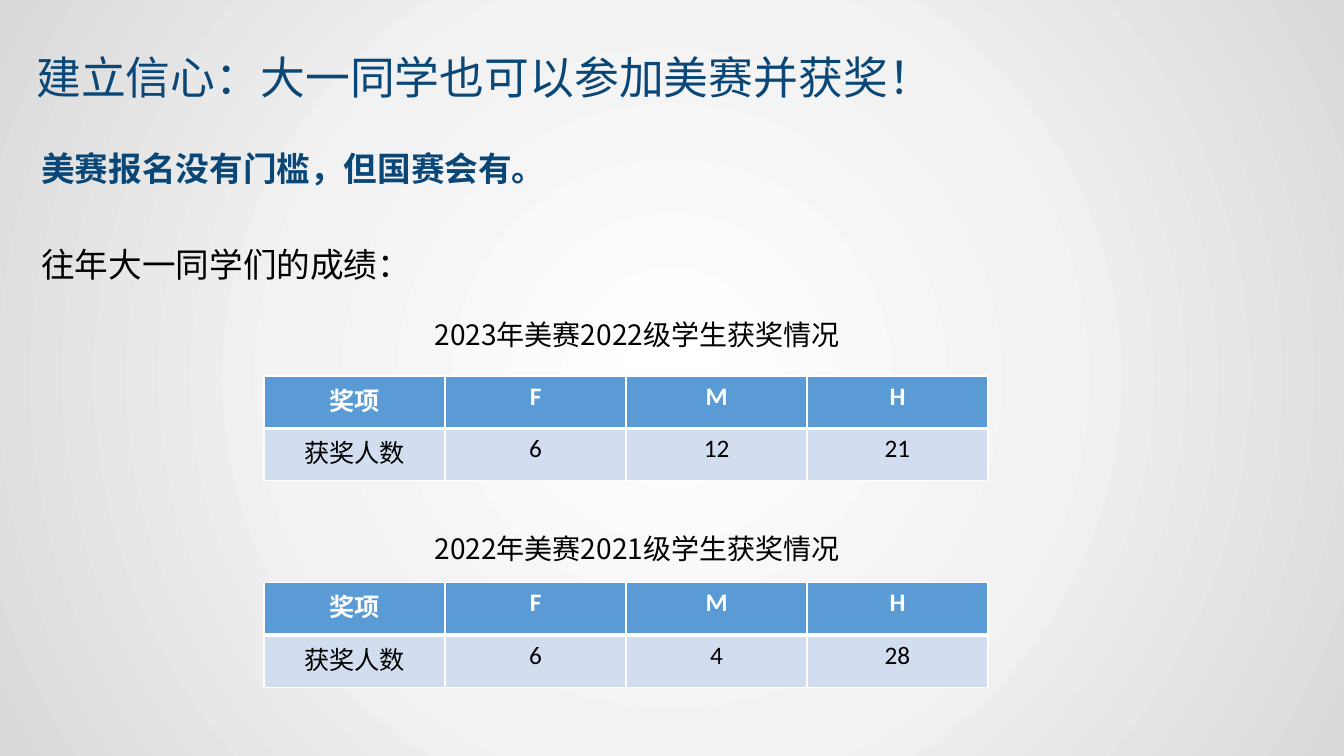
import dataclasses

import pptx
import pptx.dml.color
import pptx.enum.shapes
import pptx.enum.text
import pptx.oxml
import pptx.oxml.ns
import pptx.util

RGBColor = pptx.dml.color.RGBColor
NAVY = RGBColor(0x0A, 0x47, 0x76)
BLACK = RGBColor(0x00, 0x00, 0x00)
WHITE = RGBColor(0xFF, 0xFF, 0xFF)
HEADER_BLUE = RGBColor(0x5B, 0x9B, 0xD5)
ROW_BLUE = RGBColor(0xD2, 0xDE, 0xEF)
MIST = RGBColor(0xF2, 0xF2, 0xF2)
SILVER = RGBColor(0xD9, 0xD9, 0xD9)

HAN_FONT = "Noto Sans CJK SC"
TABLE_FONT = "Calibri"
SLIDE_WIDTH = pptx.util.Inches(13.33)
SLIDE_HEIGHT = pptx.util.Inches(7.5)
DRAWING_NS = pptx.oxml.ns.nsdecls("a")


@dataclasses.dataclass(frozen=True)
class Area:
    """Position and size in percent of the slide."""

    left: float
    top: float
    width: float
    height: float

    def lengths(self) -> tuple[int, int, int, int]:
        return (
            round(SLIDE_WIDTH * self.left / 100),
            round(SLIDE_HEIGHT * self.top / 100),
            round(SLIDE_WIDTH * self.width / 100),
            round(SLIDE_HEIGHT * self.height / 100),
        )


@dataclasses.dataclass(frozen=True)
class Passage:
    placeholder: int
    text: str
    area: Area
    size: int
    color: RGBColor = BLACK
    bold: bool = False
    spacing: float = 0.9
    inset_x: float = 0
    inset_y: float = 0


@dataclasses.dataclass(frozen=True)
class AwardTable:
    top: float
    counts: tuple[str, ...]


AWARDS = ("奖项", "F", "M", "H")
PASSAGES = (
    Passage(0, "建立信心：大一同学也可以参加美赛并获奖！", Area(1.95, 3.73, 71.57, 9.73),
            32, NAVY, spacing=1.3, inset_x=0.1, inset_y=0.05),
    Passage(1, "美赛报名没有门槛，但国赛会有。", Area(3.08, 20.13, 47.79, 5.33), 24, NAVY, bold=True),
    Passage(2, "往年大一同学们的成绩：", Area(3.08, 32.8, 47.79, 7.2), 24),
    Passage(3, "2023年美赛2022级学生获奖情况", Area(32.33, 42.53, 32.26, 7.2), 20),
    Passage(4, "2022年美赛2021级学生获奖情况", Area(32.33, 70.8, 32.26, 7.2), 20),
)
AWARD_TABLES = (
    AwardTable(49.73, ("获奖人数", "6", "12", "21")),
    AwardTable(77.07, ("获奖人数", "6", "4", "28")),
)


def write_text(frame, text: str, *, size: int, color: RGBColor, bold: bool = False,
               font: str = HAN_FONT, spacing: float = 1.0,
               align=pptx.enum.text.PP_ALIGN.LEFT) -> None:
    paragraph = frame.paragraphs[0]
    properties = paragraph._p.get_or_add_pPr()
    properties.set("marL", "0")
    properties.set("indent", "0")
    properties.append(pptx.oxml.parse_xml(f"<a:buNone {DRAWING_NS}/>"))
    paragraph.alignment = align
    paragraph.line_spacing = spacing
    paragraph.space_before = pptx.util.Pt(0)
    run = paragraph.add_run()
    run.text = text
    run.font.name = font
    run.font.size = pptx.util.Pt(size)
    run.font.bold = bold
    run.font.color.rgb = color
    run.font._element.append(
        pptx.oxml.parse_xml(f'<a:ea {DRAWING_NS} typeface="{HAN_FONT}"/>'))


def draw_backdrop(slide) -> None:
    backdrop = slide.shapes.add_shape(
        pptx.enum.shapes.MSO_SHAPE.RECTANGLE, *Area(0, 0, 100, 100).lengths())
    backdrop.shadow.inherit = False
    backdrop.line.fill.background()
    backdrop.fill.background()
    stops = "".join(
        f'<a:gs pos="{share * 1000}"><a:srgbClr val="{color}"/></a:gs>'
        for share, color in ((0, WHITE), (50, MIST), (100, SILVER)))
    gradient = pptx.oxml.parse_xml(
        f'<a:gradFill {DRAWING_NS} rotWithShape="1"><a:gsLst>{stops}</a:gsLst>'
        '<a:path path="circle"><a:fillToRect l="50000" t="50000" r="50000" b="50000"/>'
        "</a:path></a:gradFill>")
    properties = backdrop.element.spPr
    properties.replace(properties.find(pptx.oxml.ns.qn("a:noFill")), gradient)
    slide.shapes.element.insert(2, backdrop.element)


def fill_placeholder(slide, passage: Passage) -> None:
    holder = slide.placeholders[passage.placeholder]
    holder.left, holder.top, holder.width, holder.height = passage.area.lengths()
    frame = holder.text_frame
    frame.word_wrap = True
    frame.auto_size = pptx.enum.text.MSO_AUTO_SIZE.NONE
    frame.vertical_anchor = pptx.enum.text.MSO_ANCHOR.TOP
    frame.margin_left = frame.margin_right = pptx.util.Inches(passage.inset_x)
    frame.margin_top = frame.margin_bottom = pptx.util.Inches(passage.inset_y)
    write_text(frame, passage.text, size=passage.size, color=passage.color,
               bold=passage.bold, spacing=passage.spacing)


def set_borders(cell, **widths: float) -> None:
    properties = cell._tc.get_or_add_tcPr()
    for side, width in widths.items():
        properties.append(pptx.oxml.parse_xml(
            f'<a:ln{side} {DRAWING_NS} w="{pptx.util.Pt(width)}"><a:solidFill>'
            f'<a:srgbClr val="{WHITE}"/></a:solidFill></a:ln{side}>'))


def draw_award_table(slide, award_table: AwardTable) -> None:
    rows = (AWARDS, award_table.counts)
    area = Area(19.65, award_table.top, 53.86, 13.87)
    table = slide.shapes.add_table(len(rows), len(AWARDS), *area.lengths()).table
    for row_index, values in enumerate(rows):
        is_header = row_index == 0
        for column_index, value in enumerate(values):
            cell = table.cell(row_index, column_index)
            set_borders(cell, L=1, R=1, T=1 if is_header else 3, B=3 if is_header else 1)
            cell.fill.solid()
            cell.fill.fore_color.rgb = HEADER_BLUE if is_header else ROW_BLUE
            write_text(cell.text_frame, value, size=18, bold=is_header, font=TABLE_FONT,
                       color=WHITE if is_header else BLACK,
                       align=pptx.enum.text.PP_ALIGN.CENTER)


def main() -> None:
    deck = pptx.Presentation()
    deck.slide_width, deck.slide_height = SLIDE_WIDTH, SLIDE_HEIGHT
    slide = deck.slides.add_slide(deck.slide_layouts.get_by_name("Comparison"))
    draw_backdrop(slide)
    for passage in PASSAGES:
        fill_placeholder(slide, passage)
    for award_table in AWARD_TABLES:
        draw_award_table(slide, award_table)
    deck.save("out.pptx")


if __name__ == "__main__":
    main()
